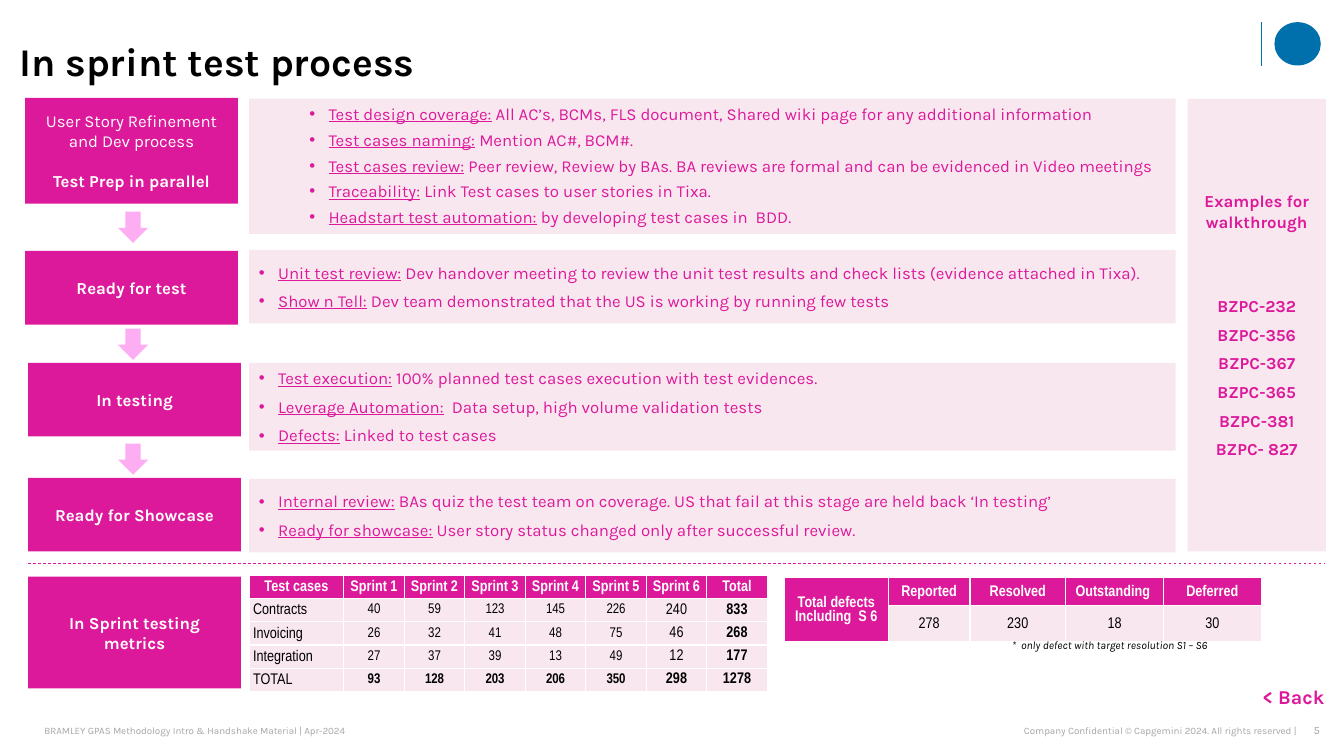
"""Builds the in sprint test process slide."""
from lxml import etree
from pptx import Presentation
from pptx import util as u
from pptx.dml.color import RGBColor
from pptx.enum import dml, shapes, text
from pptx.oxml.ns import qn

COLORS = dict(pink="DC199B", pale="F9E7EF", arrow="FDADF2", white="FFFFFF",
              black="000000", grey="A6A6A6", blue="0070AD")
W, H = 13.33, 7.5
STAGE_W, PANEL_X, PANEL_W = 2.11, 2.47, 9.19
SIDE_X, SIDE_W = 11.78, 1.37

STAGES = [
    dict(x=0.25, y=0.97, h=1.05, panel=(0.98, 1.34), indent=0.69, gap=2, anchor="TOP",
         name=[[("User Story Refinement", dict(bold=False))],
               [("and Dev process", dict(bold=False))], "Test Prep in parallel"],
         points=[
             ("Test design coverage:", " All AC’s, BCMs, FLS document, Shared wiki page for any additional information"),
             ("Test cases naming:", " Mention AC#, BCM#."),
             ("Test cases review:", " Peer review, Review by BAs. BA reviews are formal and can be evidenced in Video meetings"),
             ("Traceability:", " Link Test cases to user stories in Tixa."),
             ("Headstart test automation:", " by developing test cases in  BDD.")]),
    dict(x=0.25, y=2.49, h=0.73, panel=(2.48, 0.73), indent=0.19, gap=3, anchor="MIDDLE",
         name=["Ready for test"],
         points=[
             ("Unit test review:", " Dev handover meeting to review the unit test results and check lists (evidence attached in Tixa)."),
             ("Show n Tell:", " Dev team demonstrated that the US is working by running few tests")]),
    dict(x=0.28, y=3.6, h=0.73, panel=(3.6, 0.87), indent=0.19, gap=3, anchor="MIDDLE",
         name=["In testing"],
         points=[
             ("Test execution:", " 100% planned test cases execution with test evidences."),
             ("Leverage Automation:", "  Data setup, high volume validation tests"),
             ("Defects:", " Linked to test cases")]),
    dict(x=0.28, y=4.74, h=0.73, panel=(4.75, 0.73), indent=0.19, gap=3, anchor="MIDDLE",
         name=["Ready for Showcase"],
         points=[
             ("Internal review:", " BAs quiz the test team on coverage. US that fail at this stage are held back ‘In testing’"),
             ("Ready for showcase:", " User story status changed only after successful review.")]),
]
ARROW_TOPS = [2.1, 3.26, 4.4]
EXAMPLES = ["Examples for walkthrough", "BZPC-232", "BZPC-356", "BZPC-367",
            "BZPC-365", "BZPC-381", "BZPC- 827"]
TEST_CASES = [
    ["Test cases", *(f"Sprint {n}" for n in range(1, 7)), "Total"],
    ["Contracts", 40, 59, 123, 145, 226, 240, 833],
    ["Invoicing", 26, 32, 41, 48, 75, 46, 268],
    ["Integration", 27, 37, 39, 13, 49, 12, 177],
    ["TOTAL", 93, 128, 203, 206, 350, 298, 1278],
]
DEFECTS = [["Total defects\nIncluding  S 6", "Reported", "Resolved", "Outstanding ", "Deferred"],
           ["", 278, 230, 18, 30]]


def rgb(name):
    return RGBColor.from_string(COLORS[name])


def write(tf, paras, size=12, color="pink", font="Karla", bold=False, italic=False,
          align="CENTER", anchor="MIDDLE", inset=(0.1, 0.05, 0.1, 0.05),
          gap=0, jumps=None, indent=None, spacing=None):
    tf.word_wrap = True
    tf.vertical_anchor = text.MSO_ANCHOR[anchor]
    tf.margin_left, tf.margin_top, tf.margin_right, tf.margin_bottom = map(u.Inches, inset)
    for i, runs in enumerate(paras):
        p = tf.paragraphs[0] if i == 0 else tf.add_paragraph()
        p.alignment = text.PP_ALIGN[align]
        p.line_spacing = spacing
        p.space_before = u.Pt((jumps or {}).get(i, gap) if i else 0)
        p.space_after = u.Pt(gap)
        if indent is not None:
            pPr = p._p.get_or_add_pPr()
            pPr.set("marL", str(u.Inches(indent)))
            pPr.set("indent", str(-u.Inches(0.19)))
            etree.SubElement(pPr, qn("a:buFont")).set("typeface", "Arial")
            etree.SubElement(pPr, qn("a:buChar")).set("char", "•")
        for words, extra in [(runs, {})] if isinstance(runs, str) else runs:
            r = p.add_run()
            r.text = words
            r.font.name, r.font.size = font, u.Pt(size)
            r.font.bold = extra.get("bold", bold)
            r.font.italic = italic
            r.font.underline = extra.get("underline", False)
            r.font.color.rgb = rgb(color)


def add_block(s, x, y, w, h, fill, kind="RECTANGLE"):
    sp = s.shapes.add_shape(shapes.MSO_SHAPE[kind], *map(u.Inches, (x, y, w, h)))
    sp.shadow.inherit = False
    sp.fill.solid()
    sp.fill.fore_color.rgb = rgb(fill)
    sp.line.fill.background()
    return sp


def add_label(s, x, y, w, h, words, **fmt):
    write(s.shapes.add_textbox(*map(u.Inches, (x, y, w, h))).text_frame, [words], **fmt)


def add_rule(s, x1, y1, x2, y2, color, dash=None):
    c = s.shapes.add_connector(shapes.MSO_CONNECTOR.STRAIGHT, *map(u.Inches, (x1, y1, x2, y2)))
    c.line.color.rgb, c.line.width = rgb(color), u.Pt(0.5)
    c.line.dash_style = dash
    etree.SubElement(c._element.spPr, qn("a:effectLst"))


def add_grid(s, x, y, widths, row_h, rows):
    shape = s.shapes.add_table(len(rows), len(widths), *map(
        u.Inches, (x, y, sum(widths), row_h * len(rows))))
    table = shape.table
    for col, w in zip(table.columns, widths):
        col.width = u.Inches(w)
    for row in table.rows:
        row.height = u.Inches(row_h)
    for cell in table.iter_cells():
        tcPr = cell._tc.get_or_add_tcPr()
        for side in ("lnL", "lnR", "lnT", "lnB"):
            ln = etree.SubElement(tcPr, qn(f"a:{side}"), w=str(u.Pt(1)))
            fill = etree.SubElement(ln, qn("a:solidFill"))
            etree.SubElement(fill, qn("a:srgbClr"), val=COLORS["white"])
    return table


def fill_cell(cell, value, header, **fmt):
    cell.fill.solid()
    cell.fill.fore_color.rgb = rgb("pink" if header else "pale")
    fmt = dict(size=11, bold=header, inset=(0.01, 0.01, 0.01, 0)) | fmt
    cell.vertical_anchor = text.MSO_ANCHOR.MIDDLE
    cell.margin_left, cell.margin_top, cell.margin_right, cell.margin_bottom = map(
        u.Inches, fmt["inset"])
    write(cell.text_frame, str(value).split("\n"), font="Arial Narrow",
          color="white" if header else "black", **fmt)


def add_test_cases(s):
    table = add_grid(s, PANEL_X, 5.71, [0.94] + [0.6] * 7, 0.23, TEST_CASES)
    for i, row in enumerate(TEST_CASES):
        for j, value in enumerate(row):
            fmt = {}
            if i and j == 0:
                fmt = dict(align="LEFT", inset=(0.04, 0.01, 0.01, 0))
            elif i:
                fmt = dict(size=10 if j < 6 else 11, inset=(0.07, 0, 0.07, 0),
                           bold=i == len(TEST_CASES) - 1 or j == len(row) - 1)
            fill_cell(table.cell(i, j), value, i == 0, **fmt)


def add_defects(s):
    table = add_grid(s, 7.78, 5.73, [1.03, 0.81, 0.95, 0.97, 0.97], 0.28, DEFECTS)
    table.rows[1].height = u.Inches(0.36)
    table.cell(0, 0).merge(table.cell(1, 0))
    for i, row in enumerate(DEFECTS):
        for j, value in enumerate(row):
            if value:
                fill_cell(table.cell(i, j), value, i == 0)


def main():
    prs = Presentation()
    prs.slide_width, prs.slide_height = u.Inches(W), u.Inches(H)
    s = prs.slides.add_slide(prs.slide_layouts[5])

    title = s.shapes.title
    title.left, title.top, title.width, title.height = map(u.Inches, (0, 0.35, 7.84, 0.56))
    write(title.text_frame, ["In sprint test process"], size=28, color="black", bold=True,
          align="LEFT", inset=(0.19, 0, 0, 0), spacing=0.9)
    add_rule(s, 12.51, 0.22, 12.51, 0.65, "blue")
    add_block(s, 12.64, 0.22, 0.46, 0.43, "blue", "OVAL")

    for stage in STAGES:
        box = add_block(s, stage["x"], stage["y"], STAGE_W, stage["h"], "pink")
        write(box.text_frame, stage["name"], color="white", bold=True, jumps={2: 14})
        top, height = stage["panel"]
        panel = add_block(s, PANEL_X, top, PANEL_W, height, "pale")
        points = [[(lead, dict(underline=True)), (rest, {})] for lead, rest in stage["points"]]
        write(panel.text_frame, points, align="LEFT", anchor=stage["anchor"],
              gap=stage["gap"], indent=stage["indent"])
    for top in ARROW_TOPS:
        add_block(s, 1.17, top, 0.3, 0.31, "arrow", "DOWN_ARROW")

    side = add_block(s, SIDE_X, 0.98, SIDE_W, 4.49, "pale")
    write(side.text_frame, EXAMPLES, bold=True, gap=3, jumps={1: 43})

    add_rule(s, 0.28, 5.59, 13.14, 5.59, "pink", dml.MSO_LINE.DASH)
    metrics = add_block(s, 0.28, 5.72, STAGE_W, 1.11, "pink")
    write(metrics.text_frame, ["In Sprint testing metrics"], color="white", bold=True)
    add_test_cases(s)
    add_defects(s)
    add_label(s, 9.51, 6.28, 3, 0.24, "*  only defect with target resolution S1 – S6",
              size=8, color="black", italic=True, anchor="TOP")
    add_label(s, 12.32, 6.75, 1.02, 0.34, "< Back", size=14, bold=True, anchor="TOP")

    footer = dict(size=7, color="grey", inset=(0, 0, 0, 0))
    add_label(s, 0.44, 7.13, 3.73, 0.24, "BRAMLEY GPAS Methodology Intro & Handshake Material | Apr-2024",
              align="LEFT", **footer)
    add_label(s, 7.9, 7.13, 4.96, 0.24, "Company Confidential © Capgemini 2024. All rights reserved |",
              align="RIGHT", **footer)
    add_label(s, 12.84, 7.13, 0.25, 0.24, "5", size=8, color="grey", align="RIGHT",
              anchor="TOP", inset=(0, 0.05, 0, 0.05))
    prs.save("out.pptx")


if __name__ == "__main__":
    main()
